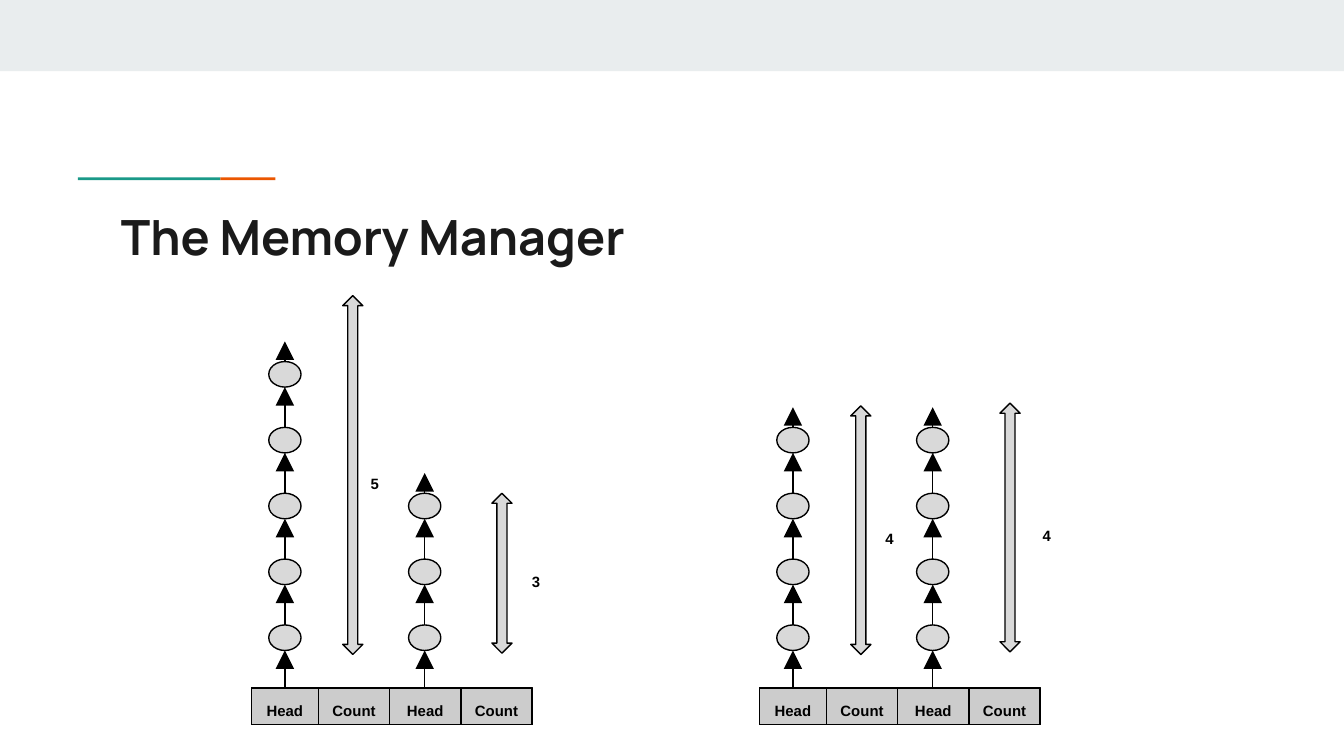
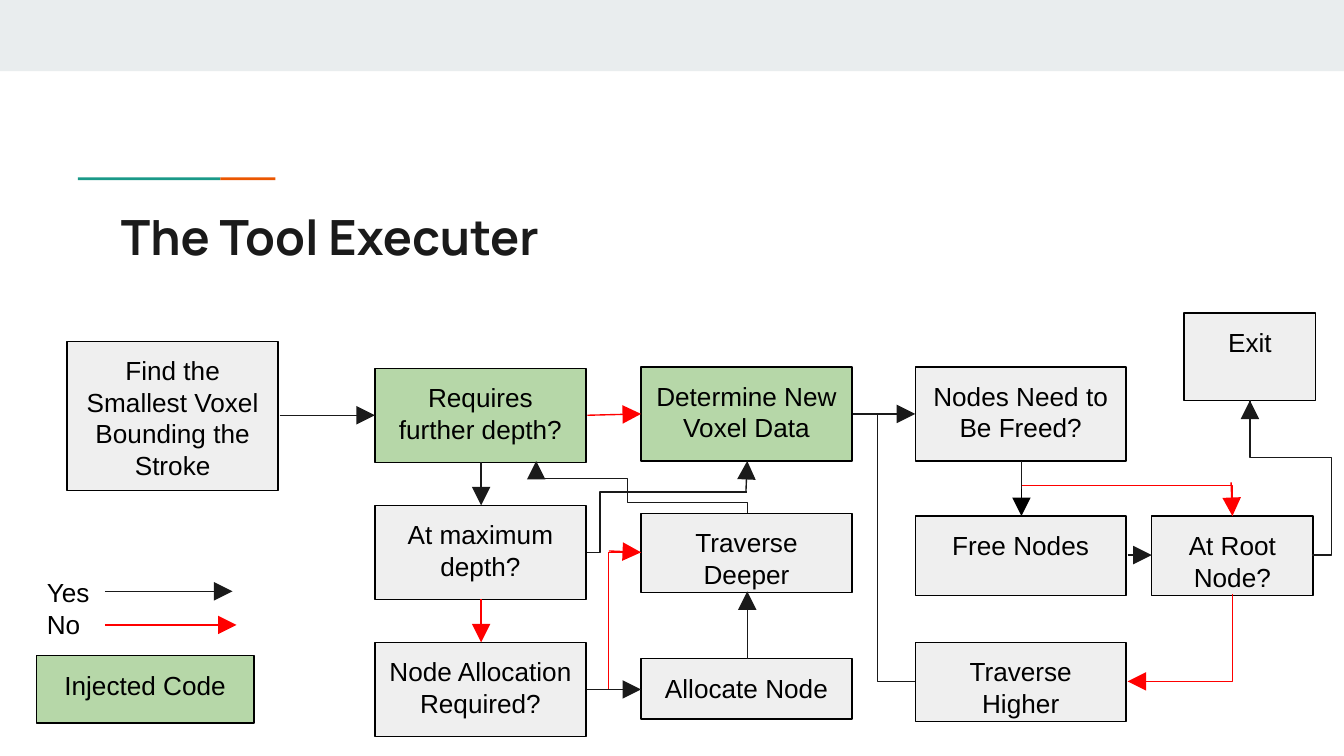
from collections import namedtuple
from dataclasses import dataclass

from lxml.etree import SubElement
from pptx import Presentation
from pptx.dml.color import RGBColor
from pptx.enum.shapes import MSO_CONNECTOR as Link, MSO_SHAPE as Form
from pptx.enum.text import MSO_ANCHOR as Anchor, PP_ALIGN as Align
from pptx.oxml.ns import qn
from pptx.util import Inches, Pt


@dataclass(frozen=True)
class Theme:
    band: str = "E9EDEE"
    teal: str = "1A9988"
    orange: str = "EB5600"
    ink: str = "1A1A1A"
    black: str = "000000"
    red: str = "FF0000"
    node: str = "D9D9D9"
    table: str = "CCCCCC"
    step: str = "EFEFEF"
    injected: str = "B6D7A8"
    title_font: str = "Manrope"
    body_font: str = "Arial"
    title_size: int = 26
    step_size: int = 14
    label_size: int = 8
    line_width: float = 0.75
    inset: float = 0.1


THEME = Theme()
Box = namedtuple("Box", "left top width height")
Count = namedtuple("Count", "value span_top span_height label_left label_top")

TITLE_BOX = Box(0.8, 1.44, 8.41, 0.59)
NODE_WIDTH, NODE_HEIGHT, NODE_PITCH = 0.24, 0.19, 0.49
CELL_WIDTHS = (0.5, 0.53, 0.53, 0.53)
CELL_HEIGHT = 0.27

POOLS = [
    (Box(1.87, 2.2, 2.09, 3.19), [
        Count(5, 0, 2.67, 0.79, 1.2),
        Count(3, 1.47, 1.19, 1.99, 1.93)]),
    (Box(5.65, 2.2, 2.09, 3.19), [
        Count(4, 0.82, 1.85, 0.84, 1.61),
        Count(4, 0.8, 1.85, 2.01, 1.59)]),
]

FLOW_BOX = Box(0.5, 2.33, 9.41, 3.15)
LEGEND_BOX = Box(0.25, 4.19, 1.66, 1.19)
STEP_WIDTH = 1.57
COLUMNS = (0, 2.29, 4.27, 6.31)

STEPS = [
    ("Find the Smallest Voxel Bounding the Stroke",
     Box(COLUMNS[0], 0.21, STEP_WIDTH, 1.11), THEME.step),
    ("Requires further depth?", Box(COLUMNS[1], 0.41, STEP_WIDTH, 0.7), THEME.injected),
    ("At maximum depth?", Box(COLUMNS[1], 1.43, STEP_WIDTH, 0.7), THEME.step),
    ("Node Allocation Required?", Box(COLUMNS[1], 2.45, STEP_WIDTH, 0.7), THEME.step),
    ("Determine New Voxel Data", Box(COLUMNS[2], 0.4, STEP_WIDTH, 0.7), THEME.injected),
    ("Traverse Deeper", Box(COLUMNS[2], 1.49, STEP_WIDTH, 0.59), THEME.step),
    ("Allocate Node", Box(COLUMNS[2], 2.57, STEP_WIDTH, 0.45), THEME.step),
    ("Nodes Need to Be Freed?", Box(COLUMNS[3], 0.4, STEP_WIDTH, 0.7), THEME.step),
    ("Free Nodes", Box(COLUMNS[3], 1.51, STEP_WIDTH, 0.59), THEME.step),
    ("Traverse Higher", Box(COLUMNS[3], 2.45, STEP_WIDTH, 0.59), THEME.step),
    ("At Root Node?", Box(8.07, 1.51, 1.2, 0.59), THEME.step),
    ("Exit", Box(8.31, 0, 0.98, 0.65), THEME.step),
]

ELBOWS = [
    ((7.1, 1.1), (8.67, 1.51), THEME.red, True, "bentConnector3", [0.44]),
    ((3.87, 2.8), (4.27, 1.78), THEME.red, False, "bentConnector3", [0.4]),
    ((7.1, 1.1), (7.1, 1.51), THEME.ink, True, "bentConnector3", [0.5]),
    ((3.87, 1.78), (5.06, 1.33), THEME.ink, False, "bentConnector3", [0.08]),
    ((5.06, 1.49), (4.18, 1.41), THEME.ink, True, "bentConnector2", []),
    ((4.2, 1.41), (3.46, 1.23), THEME.ink, False, "bentConnector3", [0.04]),
    ((6.31, 2.74), (6.03, 0.76), THEME.ink, False, "bentConnector2", []),
    ((8.67, 2.09), (7.89, 2.74), THEME.red, True, "bentConnector2", []),
    ((9.26, 1.8), (8.8, 0.65), THEME.ink, False, "bentConnector4", [-0.32, 0.63]),
]

ARROWS = [
    ((1.58, 0.76), (2.29, 0.76), THEME.ink),
    ((3.08, 1.11), (3.08, 1.43), THEME.ink),
    ((3.08, 2.13), (3.08, 2.45), THEME.red),
    ((5.06, 2.57), (5.06, 2.07), THEME.ink),
    ((3.87, 0.76), (4.27, 0.75), THEME.red),
    ((5.85, 0.75), (6.31, 0.75), THEME.ink),
    ((3.87, 2.8), (4.27, 2.8), THEME.ink),
    ((4.03, 1.77), (4.27, 1.78), THEME.red),
    ((7.1, 1.31), (7.1, 1.51), THEME.black),
    ((5.05, 1.33), (5.06, 1.1), THEME.ink),
    ((3.49, 1.23), (3.49, 1.1), THEME.ink),
    ((7.89, 1.8), (8.07, 1.8), THEME.ink),
    ((8.66, 1.26), (8.67, 1.51), THEME.red),
    ((8.04, 2.74), (7.89, 2.74), THEME.red),
    ((8.8, 0.85), (8.8, 0.65), THEME.ink),
]


def rgb(color):
    return RGBColor.from_string(color)


def shift(point, area):
    return area.left + point[0], area.top + point[1]


def inside(part, area):
    return Box(*shift(part, area), part.width, part.height)


def emu(box):
    return [Inches(length) for length in box]


def write(holder, text, size, align=Align.LEFT, font=THEME.body_font,
          color=THEME.black, bold=False):
    frame = holder.text_frame
    frame.text = text
    frame.word_wrap = True
    frame.vertical_anchor = Anchor.TOP
    frame.margin_left = frame.margin_right = Inches(THEME.inset)
    frame.margin_top = frame.margin_bottom = Inches(THEME.inset)
    for paragraph in frame.paragraphs:
        paragraph.alignment = align
        for run in paragraph.runs:
            run.font.name, run.font.size = font, Pt(size)
            run.font.bold, run.font.color.rgb = bold, rgb(color)
    return frame


def draw(slide, form, box, fill=None, outlined=True):
    shape = slide.shapes.add_shape(form, *emu(box))
    shape.shadow.inherit = False
    if fill:
        shape.fill.solid()
        shape.fill.fore_color.rgb = rgb(fill)
    else:
        shape.fill.background()
    if outlined:
        shape.line.color.rgb = rgb(THEME.black)
        shape.line.width = Pt(THEME.line_width)
    else:
        shape.line.fill.background()
    return shape


def connect(slide, kind, start, end, color):
    link = slide.shapes.add_connector(kind, *emu((*start, *end)))
    link.line.color.rgb = rgb(color)
    link.line.width = Pt(THEME.line_width)
    SubElement(link.element.spPr, qn("a:effectLst"))
    return link


def arrow(slide, start, end, color):
    link = connect(slide, Link.STRAIGHT, start, end, color)
    SubElement(link.element.spPr.find(qn("a:ln")), qn("a:tailEnd"),
               type="triangle", w="lg", len="lg")


def elbow(slide, start, end, color, vertical_start, preset, bends):
    if vertical_start:
        (x1, y1), (x2, y2) = start, end
        mid_x, mid_y = (x1 + x2) / 2, (y1 + y2) / 2
        half_x, half_y = (x2 - x1) / 2, (y2 - y1) / 2
        start = mid_x - half_y, mid_y + half_x
        end = mid_x + half_y, mid_y - half_x
    properties = connect(slide, Link.ELBOW, start, end, color).element.spPr
    if vertical_start:
        properties.find(qn("a:xfrm")).set("rot", "5400000")
    geometry = properties.find(qn("a:prstGeom"))
    geometry.set("prst", preset)
    guides = geometry.find(qn("a:avLst"))
    if guides is None:
        guides = SubElement(geometry, qn("a:avLst"))
    for number, bend in enumerate(bends, 1):
        SubElement(guides, qn("a:gd"), name=f"adj{number}",
                   fmla=f"val {round(bend * 100000)}")


def decorate_layout(layout, slide):
    bands = [
        (Box(0, 0, 10, 0.53), THEME.band),
        (Box(0.58, 1.32, 1.06, 0.02), THEME.teal),
        (Box(1.64, 1.32, 0.41, 0.02), THEME.orange),
    ]
    for position, (box, color) in enumerate(bands, 2):
        band = draw(slide, Form.RECTANGLE, box, color, outlined=False)
        layout.shapes.element.insert(position, band.element)


def add_title(slide, text, area):
    title = slide.shapes.title
    title.left, title.top, title.width, title.height = emu(area)
    write(title, text, THEME.title_size, font=THEME.title_font,
          color=THEME.ink, bold=True)


def node_chain(slide, center, base, length):
    link_start = base
    for index in range(length):
        top = base - 0.47 - index * NODE_PITCH
        draw(slide, Form.FLOWCHART_CONNECTOR,
             Box(center - NODE_WIDTH / 2, top, NODE_WIDTH, NODE_HEIGHT), THEME.node)
        arrow(slide, (center, link_start), (center, top + NODE_HEIGHT), THEME.black)
        link_start = top
    arrow(slide, (center, link_start), (center, link_start - 0.15), THEME.black)


def memory_pool(slide, area, counts):
    base = area.top + area.height - CELL_HEIGHT
    draw(slide, Form.RECTANGLE, Box(area.left, base, area.width, CELL_HEIGHT), THEME.table)
    left = area.left
    for heading, width in zip(("Head", "Count") * 2, CELL_WIDTHS):
        cell = draw(slide, Form.RECTANGLE, Box(left, base, width, CELL_HEIGHT))
        write(cell, heading, THEME.label_size, Align.CENTER, bold=True)
        left += width
    for count, chain_left, span_left in zip(counts, (0.25, 1.29), (0.68, 1.79)):
        node_chain(slide, area.left + chain_left, base, count.value)
        span = Box(span_left, count.span_top, 0.15, count.span_height)
        draw(slide, Form.UP_DOWN_ARROW, inside(span, area), THEME.node)
        label = Box(count.label_left, count.label_top, 0.2, 0.27)
        total = slide.shapes.add_textbox(*emu(inside(label, area)))
        frame = write(total, str(count.value), THEME.label_size, bold=True)
        frame.margin_right, frame.margin_top = 0, Inches(0.13)
        frame.margin_bottom = 0


def add_step(slide, text, box, fill):
    step = draw(slide, Form.RECTANGLE, box, fill)
    write(step, text, THEME.step_size, Align.CENTER)


def flowchart(slide, area):
    for text, box, fill in STEPS:
        add_step(slide, text, inside(box, area), fill)
    for start, end, *style in ELBOWS:
        elbow(slide, shift(start, area), shift(end, area), *style)
    for start, end, color in ARROWS:
        arrow(slide, shift(start, area), shift(end, area), color)


def legend(slide, area):
    answers = slide.shapes.add_textbox(*emu(inside(Box(0, 0, 1.66, 0.59), area)))
    write(answers, "Yes\nNo", THEME.step_size)
    arrow(slide, shift((0.53, 0.21), area), shift((1.48, 0.21), area), THEME.ink)
    arrow(slide, shift((0.53, 0.46), area), shift((1.51, 0.46), area), THEME.red)
    add_step(slide, "Injected Code", inside(Box(0.02, 0.69, 1.62, 0.5), area),
             THEME.injected)


def memory_manager(slide):
    add_title(slide, "The Memory Manager", TITLE_BOX)
    for area, counts in POOLS:
        memory_pool(slide, area, counts)


def tool_executer(slide):
    add_title(slide, "The Tool Executer", TITLE_BOX)
    flowchart(slide, FLOW_BOX)
    legend(slide, LEGEND_BOX)


def main():
    deck = Presentation()
    deck.slide_width = Inches(10)
    deck.slide_height = deck.slide_width * 9 // 16
    layout = deck.slide_layouts[5]
    memory_slide = deck.slides.add_slide(layout)
    decorate_layout(layout, memory_slide)
    memory_manager(memory_slide)
    tool_executer(deck.slides.add_slide(layout))
    deck.save("out.pptx")


if __name__ == "__main__":
    main()
